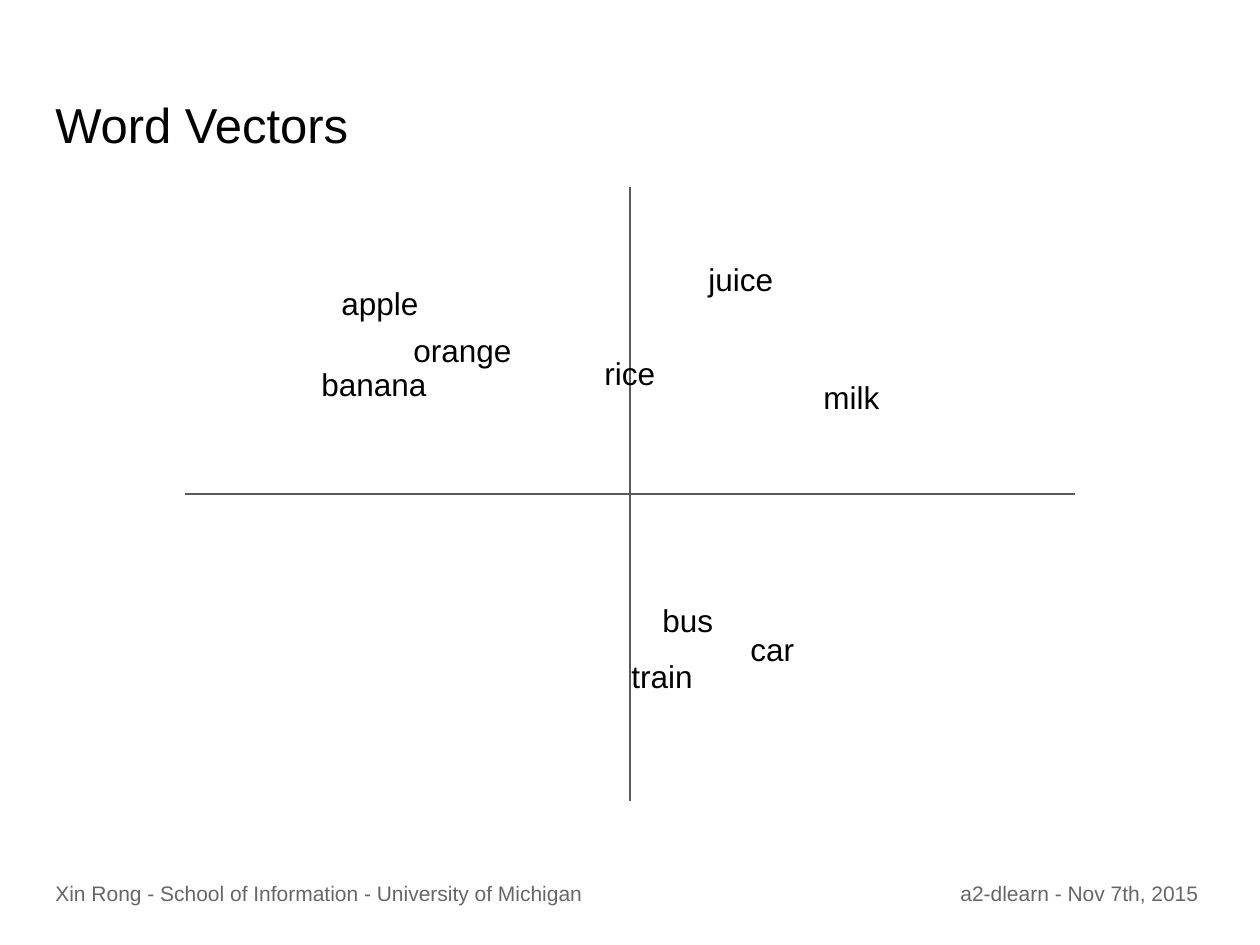
import pptx
import pptx.dml.color
import pptx.enum.shapes
import pptx.enum.text
import pptx.oxml
import pptx.util
from dataclasses import dataclass

PIXELS_PER_INCH = 126
SLIDE_WIDTH, SLIDE_HEIGHT = 1260, 945


@dataclass(frozen=True)
class Theme:
    font: str = "Arial"
    text: str = "000000"
    footer: str = "666666"
    axis: str = "595959"
    title_size: int = 28
    word_size: int = 18
    footer_size: int = 12
    axis_width: float = 0.75


THEME = Theme()

# Word: left, top, width
WORD_HEIGHT = 81
WORDS = {
    "apple": (329, 271, 129),
    "orange": (401, 318, 129),
    "banana": (309, 352, 150),
    "rice": (592, 341, 164),
    "bus": (650, 588, 93),
    "milk": (811, 365, 164),
    "juice": (696, 247, 164),
    "car": (738, 617, 129),
    "train": (619, 644, 93),
}

# Footer text: left, width
FOOTER_TOP, FOOTER_HEIGHT = 868, 49
FOOTERS = {
    "Xin Rong - School of Information - University of Michigan": (43, 644),
    "a2-dlearn - Nov 7th, 2015": (948, 286),
}


def px(length):
    return pptx.util.Emu(round(length * 914400 / PIXELS_PER_INCH))


def color(value):
    return pptx.dml.color.RGBColor.from_string(value)


def set_attributes(target, values):
    for name, value in values.items():
        setattr(target, name, value)


def add_text(slide, text, box, size, text_color):
    shape = slide.shapes.add_textbox(*map(px, box))
    frame = shape.text_frame
    margin = pptx.util.Inches(0.1)
    set_attributes(frame, {
        "word_wrap": True,
        "vertical_anchor": pptx.enum.text.MSO_ANCHOR.TOP,
        "margin_left": margin,
        "margin_top": margin,
        "margin_right": margin,
        "margin_bottom": margin,
    })
    paragraph = frame.paragraphs[0]
    run = paragraph.add_run()
    run.text = text
    set_attributes(run.font, {"name": THEME.font, "size": pptx.util.Pt(size)})
    run.font.color.rgb = color(text_color)


def add_axis(slide, start, end):
    axis = slide.shapes.add_connector(
        pptx.enum.shapes.MSO_CONNECTOR.STRAIGHT, *map(px, start + end))
    axis.line.color.rgb = color(THEME.axis)
    axis.line.width = pptx.util.Pt(THEME.axis_width)
    properties = axis._element.spPr
    properties.append(pptx.oxml.parse_xml(
        '<a:effectLst xmlns:a="http://schemas.openxmlformats.org/drawingml/2006/main"/>'))


def main():
    presentation = pptx.Presentation()
    set_attributes(presentation, {
        "slide_width": px(SLIDE_WIDTH),
        "slide_height": px(SLIDE_HEIGHT),
    })
    slide = presentation.slides.add_slide(presentation.slide_layouts[6])

    # Footer
    for text, (left, width) in FOOTERS.items():
        add_text(slide, text, (left, FOOTER_TOP, width, FOOTER_HEIGHT),
                 THEME.footer_size, THEME.footer)

    # Title
    add_text(slide, "Word Vectors", (43, 82, 1174, 105), THEME.title_size, THEME.text)

    # Axes, crossing at the origin of the vector space
    origin_x, origin_y = SLIDE_WIDTH // 2, 494
    half_width, half_height = 445, 307
    add_axis(slide, (origin_x - half_width, origin_y), (origin_x + half_width, origin_y))
    add_axis(slide, (origin_x, origin_y - half_height), (origin_x, origin_y + half_height))

    # Words
    for word, box in WORDS.items():
        add_text(slide, word, (*box, WORD_HEIGHT), THEME.word_size, THEME.text)

    presentation.save("out.pptx")


if __name__ == "__main__":
    main()
